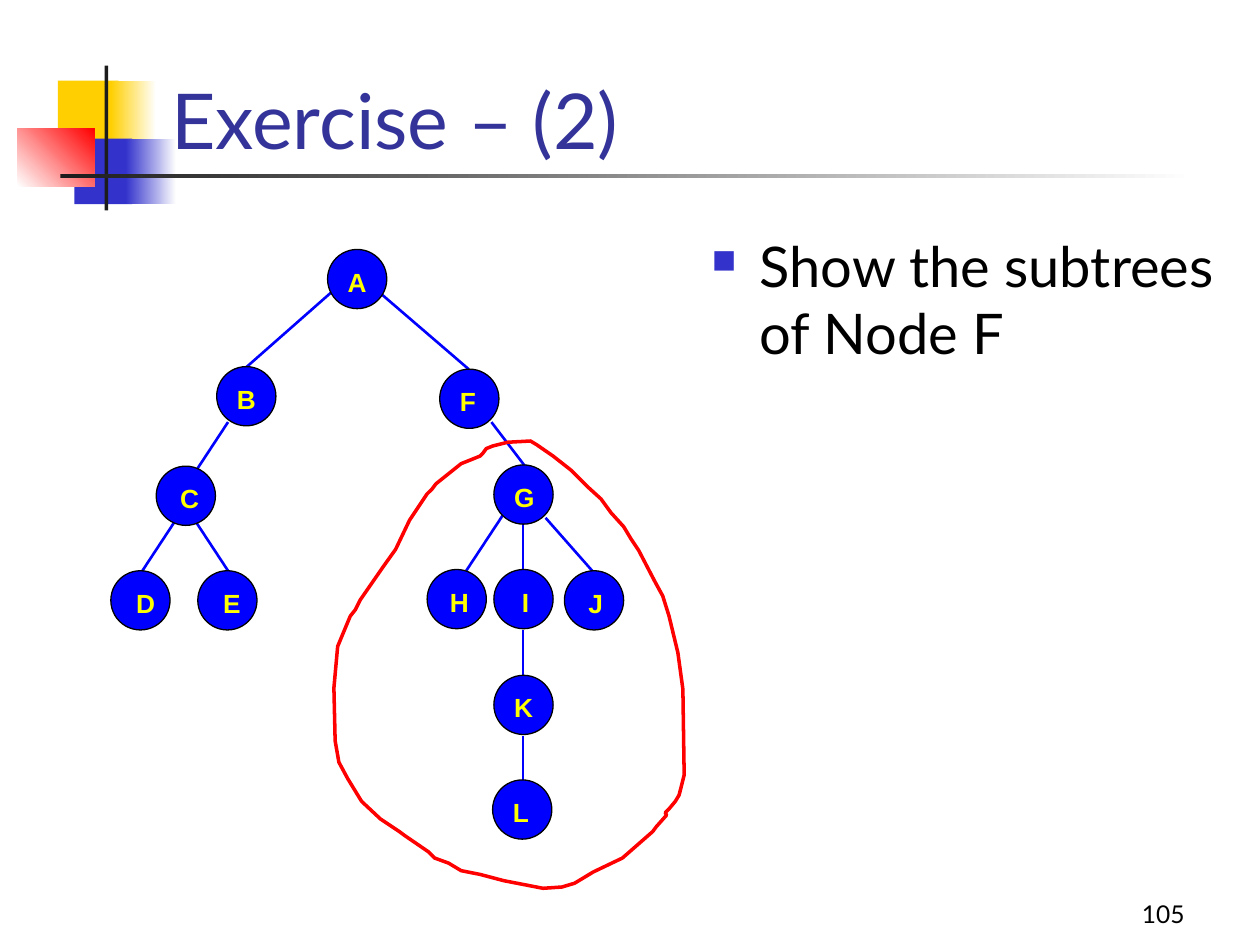
from dataclasses import dataclass

from lxml import etree
from pptx import Presentation
from pptx.dml.color import RGBColor
from pptx.enum.shapes import MSO_CONNECTOR, MSO_SHAPE
from pptx.enum.text import MSO_ANCHOR, MSO_AUTO_SIZE, PP_ALIGN
from pptx.oxml.ns import qn
from pptx.util import Inches, Pt

RECT, NODE = MSO_SHAPE.RECTANGLE, MSO_SHAPE.FLOWCHART_CONNECTOR
STRAIGHT = MSO_CONNECTOR.STRAIGHT
LEFT, RIGHT = PP_ALIGN.LEFT, PP_ALIGN.RIGHT
TOP, BOTTOM = MSO_ANCHOR.TOP, MSO_ANCHOR.BOTTOM
NO_FIT = MSO_AUTO_SIZE.NONE


@dataclass(frozen=True)
class Theme:
    """Colours, fonts and type sizes of the deck."""

    white: str = "FFFFFF"
    black: str = "000000"
    dark: str = "1C1C1C"
    gold: str = "FFCF01"
    indigo: str = "3333CC"
    title: str = "333399"
    red: str = "FF0000"
    blue: str = "0000FF"
    yellow: str = "FFFF00"
    text_font: str = "Lato"
    node_font: str = "Arial"
    title_size: int = 44
    body_size: int = 32
    node_size: int = 15
    number_size: int = 14


THEME = Theme()

ORNAMENTS = [
    ((0.46, 0.64, 0.48, 0.52), [THEME.gold], 0),
    ((0.88, 0.64, 0.36, 0.52), [THEME.gold, THEME.white], 0),
    ((0.59, 1.1, 0.46, 0.52), [THEME.indigo], 0),
    ((1, 1.1, 0.4, 0.52), [THEME.indigo, THEME.white], 0),
    ((0.14, 1.02, 0.61, 0.46), [THEME.white, THEME.red], 45),
    ((0.83, 0.52, 0.03, 1.15), [THEME.dark], 0),
    ((0.48, 1.38, 9, 0.03), [THEME.dark, THEME.white], 0),
]

NODES = [
    ("A", 2.6, 1.98, 0.03, LEFT),
    ("B", 1.72, 2.91, 0.03, LEFT),
    ("C", 1.24, 3.7, 0.06, LEFT),
    ("D", 0.88, 4.53, 0.07, LEFT),
    ("E", 1.57, 4.53, 0.07, LEFT),
    ("F", 3.49, 2.93, 0.03, LEFT),
    ("G", 3.92, 3.69, 0.03, LEFT),
    ("H", 3.39, 4.52, 0.05, LEFT),
    ("I", 3.92, 4.52, 0.03, RIGHT),
    ("J", 4.48, 4.53, 0.06, LEFT),
    ("K", 3.92, 5.36, 0.03, RIGHT),
    ("L", 3.91, 6.19, 0.03, RIGHT),
]

EDGES = [
    (2.63, 2.32, 1.96, 2.91),
    (3.01, 2.32, 3.72, 2.93),
    (1.81, 3.35, 1.56, 3.73),
    (1.38, 4.15, 1.13, 4.53),
    (1.56, 4.15, 1.81, 4.53),
    (3.9, 3.35, 4.19, 3.73),
    (4.01, 4.06, 3.7, 4.53),
    (4.15, 4.16, 4.15, 4.52),
    (4.33, 4.11, 4.7, 4.53),
    (4.15, 5, 4.15, 5.36),
    (4.15, 5.84, 4.15, 6.19),
]

SUBTREE_LOOP = [
    (3.81, 3.62), (3.66, 3.68), (3.46, 3.84), (3.43, 3.88), (3.39, 3.92),
    (3.25, 4.13), (3.14, 4.36), (3.04, 4.5), (2.86, 4.76), (2.82, 4.84),
    (2.78, 4.89), (2.68, 5.13), (2.65, 5.46), (2.66, 5.88), (2.69, 6.05),
    (2.76, 6.18), (2.87, 6.36), (3.02, 6.5), (3.17, 6.6), (3.21, 6.63),
    (3.4, 6.76), (3.45, 6.81), (3.56, 6.85), (3.66, 6.91), (3.81, 6.94),
    (4, 6.99), (4.31, 7.05), (4.46, 7.04), (4.56, 7.01), (4.71, 6.92),
    (4.94, 6.81), (5.18, 6.6), (5.21, 6.56), (5.29, 6.47), (5.28, 6.45),
    (5.31, 6.42), (5.36, 6.36), (5.39, 6.31), (5.43, 6.15), (5.42, 5.47),
    (5.38, 5.18), (5.31, 4.89), (5.26, 4.73), (5.2, 4.62), (5.07, 4.37),
    (5.01, 4.28), (4.95, 4.18), (4.85, 4.07), (4.77, 3.96), (4.66, 3.86),
    (4.53, 3.73), (4.39, 3.62), (4.26, 3.53), (4.21, 3.5), (4.03, 3.51),
    (3.91, 3.54), (3.86, 3.56), (3.83, 3.6),
]


def assign(target, values):
    """Set each named attribute on the target."""
    for name, value in values.items():
        setattr(target, name, value)


def rgb(color):
    """Turn a hex string into a colour."""
    return RGBColor.from_string(color)


class SlideBuilder:
    """Draws themed elements on the current slide."""

    def __init__(self, slide, theme):
        """Keep the slide and its theme."""
        self.slide, self.theme = slide, theme
        self.shapes = slide.shapes

    def set_text(self, sp, text, size, color, font=None, bold=False, align=LEFT,
                 anchor=TOP, insets=(0.1, 0.05)):
        """Fill a shape with one formatted paragraph."""
        tf = sp.text_frame
        x, y = map(Inches, insets)
        assign(tf, dict(word_wrap=True, auto_size=NO_FIT, vertical_anchor=anchor,
                        margin_left=x, margin_right=x, margin_top=y, margin_bottom=y))
        p = tf.paragraphs[0]
        p.alignment = align
        r = p.add_run()
        r.text = text
        assign(r.font, dict(size=Pt(size), name=font or self.theme.text_font, bold=bold))
        r.font.color.rgb = rgb(color)
        return p

    def title(self, text, box):
        """Place the title placeholder above the ornaments."""
        sp = self.shapes.title
        assign(sp, dict(zip(("left", "top", "width", "height"), map(Inches, box))))
        self.shapes._spTree.append(sp._element)
        self.set_text(sp, text, self.theme.title_size, self.theme.title, anchor=BOTTOM)

    def text(self, text, box, size, color, **style):
        """Add a text box."""
        sp = self.shapes.add_textbox(*map(Inches, box))
        return self.set_text(sp, text, size, color, **style)

    def bullet(self, text, box):
        """Add a text box with a square bullet."""
        p = self.text(text, box, self.theme.body_size, self.theme.black)
        pPr = p._p.get_or_add_pPr()
        pPr.set("marL", str(Inches(0.38)))
        pPr.set("indent", str(Inches(-0.38)))
        color = etree.SubElement(pPr, qn("a:buClr"))
        etree.SubElement(color, qn("a:srgbClr"), val=self.theme.indigo)
        etree.SubElement(pPr, qn("a:buSzPct"), val="60000")
        etree.SubElement(pPr, qn("a:buChar"), char="■")

    def ornament(self, box, colors, angle):
        """Add a rectangle with a solid or two-colour gradient fill."""
        sp = self.shapes.add_shape(RECT, *map(Inches, box))
        sp.shadow.inherit = False
        sp.line.fill.background()
        if len(colors) == 1:
            sp.fill.solid()
            sp.fill.fore_color.rgb = rgb(colors[0])
            return
        sp.fill.gradient()
        sp.fill.gradient_angle = angle
        for stop, color in zip(sp.fill.gradient_stops, colors):
            stop.color.rgb = rgb(color)

    def outline(self, line, color, width):
        """Style a line."""
        line.color.rgb = rgb(color)
        line.width = Pt(width)

    def node(self, name, x, y, shift, align):
        """Add a tree node and its letter."""
        sp = self.shapes.add_shape(NODE, *map(Inches, (x, y, 0.47, 0.47)))
        sp.shadow.inherit = False
        sp.fill.solid()
        sp.fill.fore_color.rgb = rgb(self.theme.blue)
        self.outline(sp.line, self.theme.black, 0.75)
        self.text(name, (x + shift, y + 0.07, 0.38, 0.35), self.theme.node_size,
                  self.theme.yellow, font=self.theme.node_font, bold=True,
                  align=align, insets=(0.13, 0.06))

    def edge(self, *ends):
        """Add a line between two nodes."""
        line = self.shapes.add_connector(STRAIGHT, *map(Inches, ends))
        self.outline(line.line, self.theme.blue, 1.5)
        etree.SubElement(line._element.spPr, qn("a:effectLst"))

    def loop(self, points):
        """Add a closed hand-drawn outline."""
        start, *rest = [(Inches(x), Inches(y)) for x, y in points]
        builder = self.shapes.build_freeform(*start)
        builder.add_line_segments(rest, close=True)
        sp = builder.convert_to_shape()
        sp.shadow.inherit = False
        sp.fill.background()
        self.outline(sp.line, self.theme.red, 2)


def main():
    """Build the exercise slide."""
    prs = Presentation()
    assign(prs, dict(slide_width=Inches(10), slide_height=Inches(7.5)))
    s = SlideBuilder(prs.slides.add_slide(prs.slide_layouts[5]), THEME)
    for ornament in ORNAMENTS:
        s.ornament(*ornament)
    s.text("105", (7.42, 6.92, 2.08, 0.5), THEME.number_size, THEME.black,
           align=RIGHT, anchor=BOTTOM)
    s.title("Exercise – (2)", (1.26, 0.11, 8.52, 1.25))
    s.bullet("Show the subtrees of Node F", (5.55, 1.79, 4.27, 4.91))
    for edge in EDGES:
        s.edge(*edge)
    for node in NODES:
        s.node(*node)
    s.loop(SUBTREE_LOOP)
    prs.save("out.pptx")


if __name__ == "__main__":
    main()
